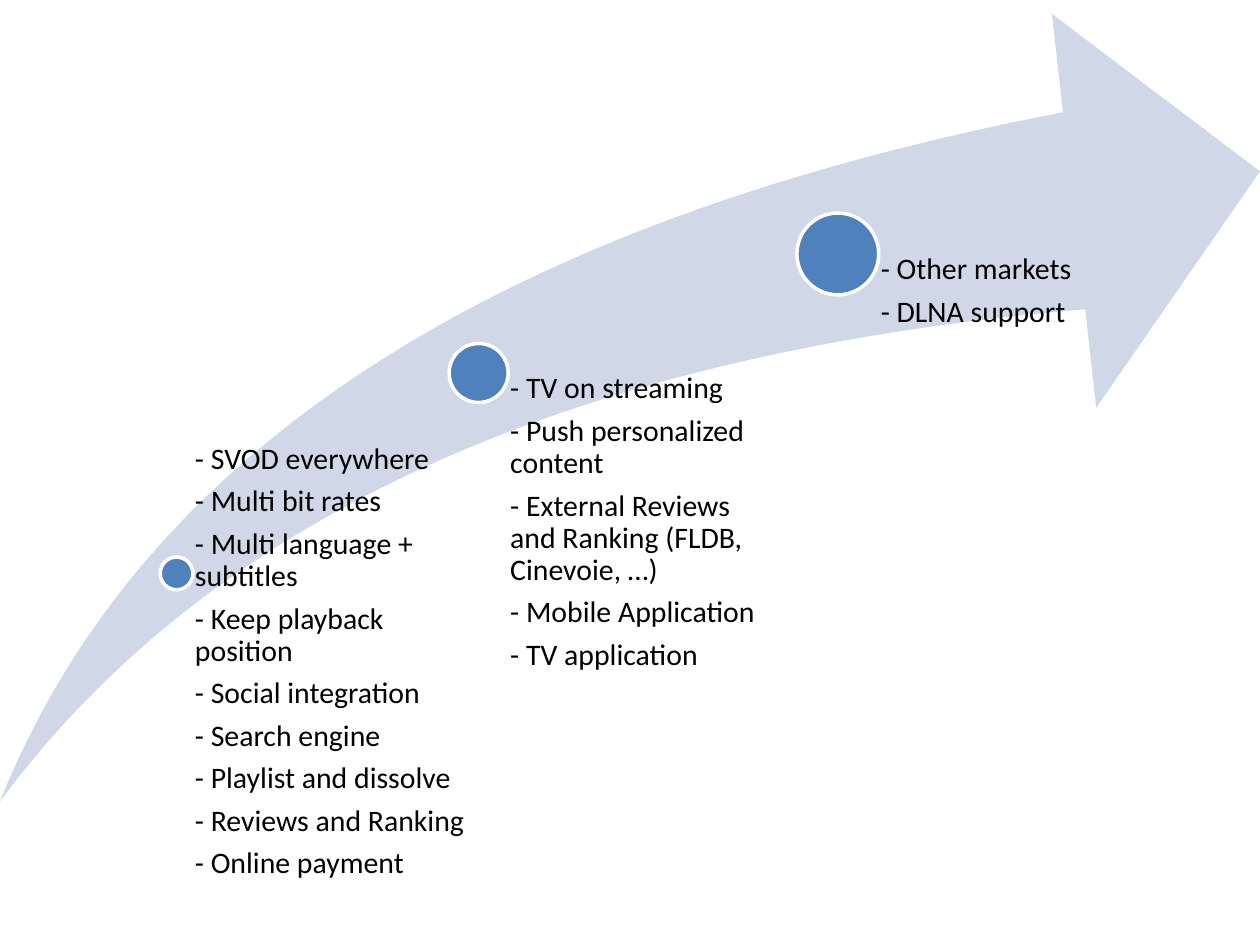
from dataclasses import dataclass

from lxml.etree import SubElement
from pptx import Presentation
from pptx.dml.color import RGBColor
from pptx.enum.shapes import MSO_SHAPE
from pptx.enum.text import MSO_ANCHOR, MSO_AUTO_SIZE, PP_ALIGN
from pptx.oxml.ns import qn
from pptx.util import Cm, Pt


@dataclass(frozen=True)
class Theme:
    arrow: RGBColor = RGBColor(0xD0, 0xD8, 0xE8)
    marker: RGBColor = RGBColor(0x4F, 0x81, 0xBD)
    outline: RGBColor = RGBColor(0xFF, 0xFF, 0xFF)
    text: RGBColor = RGBColor(0x00, 0x00, 0x00)
    font: str = "Calibri"
    size: float = 17
    line_width: float = 2


@dataclass(frozen=True)
class Milestone:
    """One step on the arrow; all lengths are in centimetres."""
    x: float
    y: float
    diameter: float
    text_top: float
    text_width: float
    text_bottom: float
    items: tuple


THEME = Theme()
COMPARISON_LAYOUT = 4
TEXT_GAP = 0.04

MILESTONES = (
    Milestone(3.56, 11.56, 0.66, 8.94, 5.92, 18.77, (
        "SVOD everywhere",
        "Multi bit rates",
        "Multi language + subtitles",
        "Keep playback position",
        "Social integration",
        "Search engine",
        "Playlist and dissolve",
        "Reviews and Ranking",
        "Online payment",
    )),
    Milestone(9.65, 7.52, 1.19, 7.52, 6.1, 16.15, (
        "TV on streaming",
        "Push personalized content",
        "External Reviews and Ranking (FLDB, Cinevoie, …)",
        "Mobile Application",
        "TV application",
    )),
    Milestone(16.89, 5.12, 1.65, 5.12, 6.1, 16.15, (
        "Other markets",
        "DLNA support",
    )),
)


def add_filled_shape(slide, kind, left, top, width, height, color):
    sp = slide.shapes.add_shape(kind, Cm(left), Cm(top), Cm(width), Cm(height))
    sp.shadow.inherit = False
    sp.fill.solid()
    sp.fill.fore_color.rgb = color
    return sp


def add_growth_arrow(slide):
    """Add the swoosh and send it behind the placeholders."""
    sp = add_filled_shape(slide, MSO_SHAPE.SWOOSH_ARROW,
                          0, 0.28, 25.4, 15.88, THEME.arrow)
    sp.adjustments[0] = 0.25
    sp.adjustments[1] = 0.25
    sp.line.fill.background()
    slide.shapes.element.insert(2, sp.element)


def add_marker(slide, step):
    radius = step.diameter / 2
    sp = add_filled_shape(slide, MSO_SHAPE.OVAL, step.x - radius, step.y - radius,
                          step.diameter, step.diameter, THEME.marker)
    sp.line.color.rgb = THEME.outline
    sp.line.width = Pt(THEME.line_width)


def format_paragraph(p):
    p.alignment = PP_ALIGN.LEFT
    p.line_spacing = 0.9
    p.space_before = Pt(0)
    p.space_after = Pt(0.35 * THEME.size)
    pPr = p._p.get_or_add_pPr()
    pPr.set("marL", "0")
    pPr.set("indent", "0")
    SubElement(pPr, qn("a:buNone"))


def fill_list(placeholder, step):
    placeholder.left, placeholder.top = Cm(step.x), Cm(step.text_top)
    placeholder.width = Cm(step.text_width)
    placeholder.height = Cm(step.text_bottom - step.text_top)

    tf = placeholder.text_frame
    tf.word_wrap = True
    tf.auto_size = MSO_AUTO_SIZE.NONE
    tf.vertical_anchor = MSO_ANCHOR.TOP
    tf.margin_left = Cm(step.diameter / 2 + TEXT_GAP)
    tf.margin_top = tf.margin_right = tf.margin_bottom = 0

    for i, item in enumerate(step.items):
        p = tf.add_paragraph() if i else tf.paragraphs[0]
        format_paragraph(p)
        r = p.add_run()
        r.text = f"- {item}"
        r.font.name = THEME.font
        r.font.size = Pt(THEME.size)
        r.font.bold = False
        r.font.color.rgb = THEME.text


def main():
    prs = Presentation()
    prs.slide_width, prs.slide_height = Cm(25.4), Cm(19.05)
    slide = prs.slides.add_slide(prs.slide_layouts[COMPARISON_LAYOUT])
    title, *bodies = slide.placeholders
    spare = bodies[len(MILESTONES):]

    add_growth_arrow(slide)
    for step, body in zip(MILESTONES, bodies):
        add_marker(slide, step)
        fill_list(body, step)
    for empty in (title, *spare):
        slide.shapes.element.remove(empty.element)

    prs.save("out.pptx")


if __name__ == "__main__":
    main()
